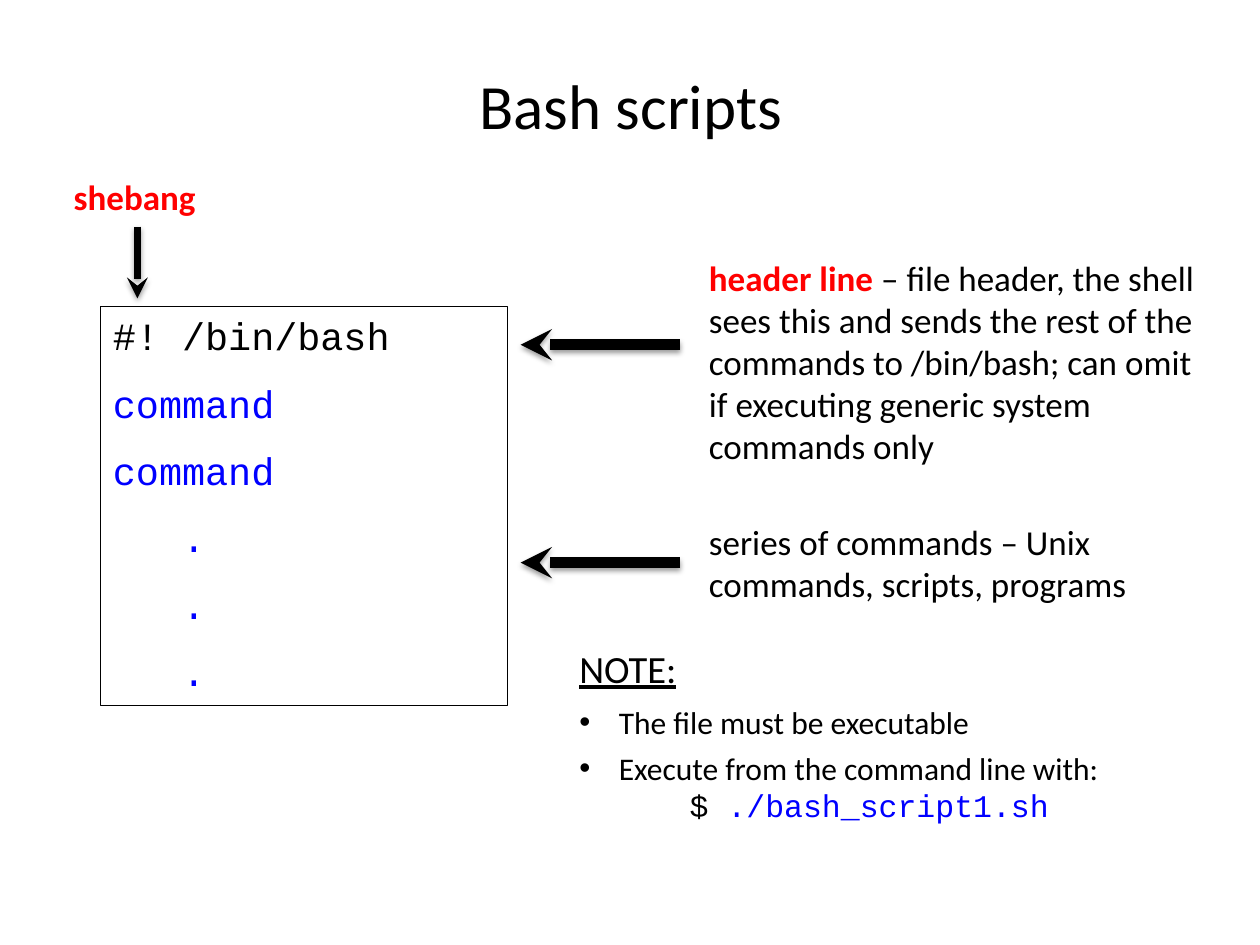
from lxml import etree
from pptx import Presentation
from pptx.dml.color import RGBColor
from pptx.enum import shapes, text
from pptx.oxml import ns
from pptx.util import Pt

BLACK, RED, BLUE = "000000", "FF0000", "0000FF"
SANS, MONO = "Calibri", "Courier New"


def color(code):
    return RGBColor.from_string(code)


def add_run(para, words, size, code=BLACK, face=SANS, bold=False):
    run = para.add_run()
    run.text = words
    run.font.size, run.font.name, run.font.bold = Pt(size), face, bold
    run.font.color.rgb = color(code)
    return run


deck = Presentation()
deck.slide_width, deck.slide_height = Pt(720), Pt(540)
slide = deck.slides.add_slide(deck.slide_layouts[5])

# Title
title = slide.shapes.title
title.left, title.top, title.width, title.height = Pt(4), Pt(35), Pt(713), Pt(49)
frame = title.text_frame
frame.auto_size = text.MSO_AUTO_SIZE.NONE
frame.vertical_anchor = text.MSO_ANCHOR.MIDDLE
frame.paragraphs[0].alignment = text.PP_ALIGN.CENTER
add_run(frame.paragraphs[0], "Bash scripts", 36)

# Script box
box = slide.shapes.add_shape(shapes.MSO_SHAPE.RECTANGLE,
                             Pt(57.5), Pt(175), Pt(232.5), Pt(228))
box.shadow.inherit = False
box.fill.background()
box.line.color.rgb = color(BLACK)
box.line.width = Pt(0.75)
frame = box.text_frame
frame.word_wrap = True
frame.vertical_anchor = text.MSO_ANCHOR.TOP
code_lines = ["#! /bin/bash", "command", "command", ".", ".", "."]
for i, words in enumerate(code_lines):
    para = frame.paragraphs[0] if i == 0 else frame.add_paragraph()
    para.alignment = text.PP_ALIGN.LEFT
    para.space_after = Pt(12)
    if words == ".":
        para._p.get_or_add_pPr().set("marL", str(Pt(39.6)))
    add_run(para, words, 22, BLUE if i else BLACK, MONO)

# Labels
labels = [
    (35, 96.5, 86, 34, [("shebang", RED, True)]),
    (398, 143, 301, 128, [
        ("header line", RED, True),
        (" – file header, the shell sees this and sends the rest of the "
         "commands to /bin/bash; can omit if executing generic system "
         "commands only", BLACK, False)]),
    (398, 294, 301, 55, [
        ("series of commands – Unix commands, scripts, programs",
         BLACK, False)]),
]
for left, top, width, height, parts in labels:
    label = slide.shapes.add_textbox(Pt(left), Pt(top), Pt(width), Pt(height))
    label.text_frame.word_wrap = True
    for words, code, bold in parts:
        add_run(label.text_frame.paragraphs[0], words, 20, code, bold=bold)

# Arrows
arrows = [(78.5, 129.5, 78.5, 170.5, 4),
          (388.5, 197, 297.5, 197, 6),
          (388.5, 321.5, 297.5, 321.5, 6)]
for x1, y1, x2, y2, weight in arrows:
    arrow = slide.shapes.add_connector(shapes.MSO_CONNECTOR.STRAIGHT,
                                       Pt(x1), Pt(y1), Pt(x2), Pt(y2))
    arrow.line.color.rgb = color(BLACK)
    arrow.line.width = Pt(weight)
    etree.SubElement(arrow.line._get_or_add_ln(), ns.qn("a:tailEnd"),
                     type="stealth")
    effects = etree.SubElement(arrow._element.spPr, ns.qn("a:effectLst"))
    shade = etree.SubElement(effects, ns.qn("a:outerShdw"),
                             blurRad=str(Pt(3.1)), dist=str(Pt(1.6)),
                             dir="5400000", rotWithShape="0")
    tint = etree.SubElement(shade, ns.qn("a:srgbClr"), val=BLACK)
    etree.SubElement(tint, ns.qn("a:alpha"), val="38000")

# Note heading
head = slide.shapes.add_textbox(Pt(324), Pt(365), Pt(71), Pt(34))
head.text_frame.word_wrap = True
run = add_run(head.text_frame.paragraphs[0], "NOTE:", 22)
run.font.underline = True

# Note list and command
note = slide.shapes.add_textbox(Pt(324), Pt(394), Pt(320), Pt(81))
frame = note.text_frame
frame.word_wrap = True
points = ["The file must be executable", "Execute from the command line with:"]
for i, words in enumerate(points):
    para = frame.paragraphs[0] if i == 0 else frame.add_paragraph()
    para.line_spacing = 1.2
    props = para._p.get_or_add_pPr()
    props.set("marL", str(Pt(22.5)))
    props.set("indent", str(-Pt(22.5)))
    etree.SubElement(props, ns.qn("a:buFont"), typeface="Arial")
    etree.SubElement(props, ns.qn("a:buChar"), char="•")
    add_run(para, words, 18)
para = frame.add_paragraph()
para._p.get_or_add_pPr().set("marL", str(Pt(63)))
add_run(para, "$ ", 18, face=MONO)
add_run(para, "./bash_script1.sh", 18, BLUE, MONO)

deck.save("out.pptx")
